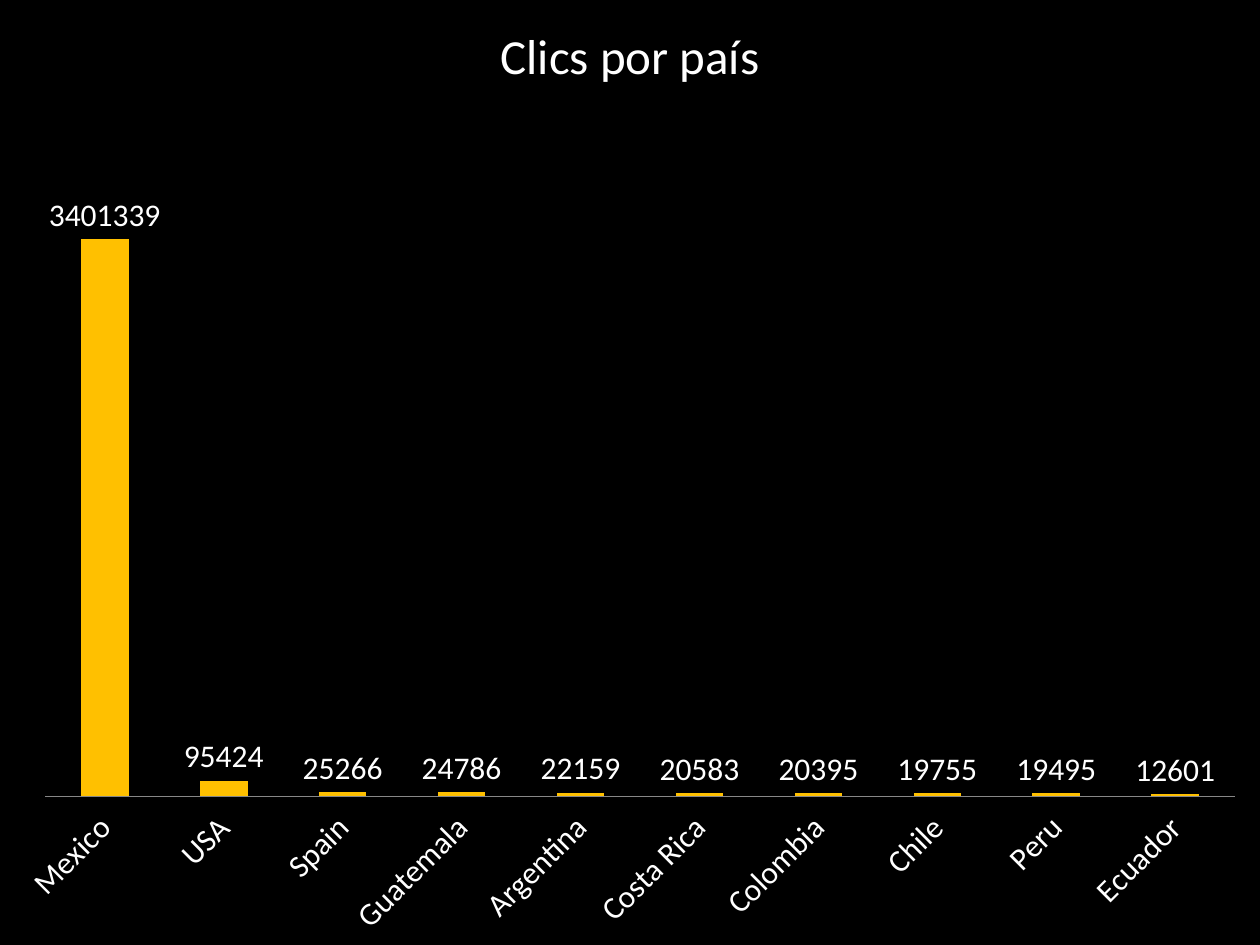
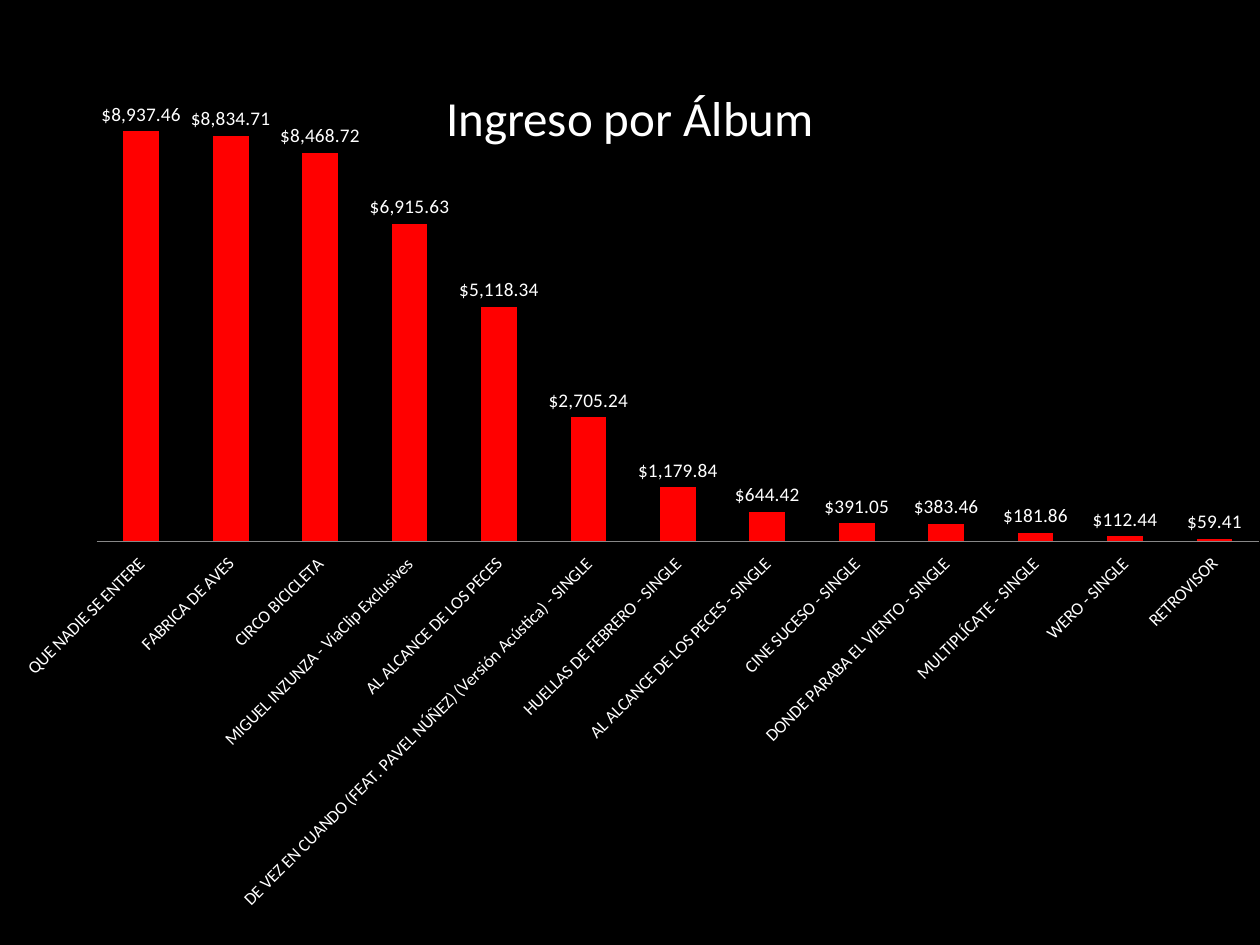
from dataclasses import dataclass

from lxml import etree
from pptx import Presentation
from pptx.chart.data import CategoryChartData
from pptx.dml.color import RGBColor
from pptx.enum.chart import XL_CHART_TYPE, XL_LABEL_POSITION, XL_TICK_LABEL_POSITION, XL_TICK_MARK
from pptx.enum.text import MSO_ANCHOR, PP_ALIGN
from pptx.oxml import parse_xml
from pptx.oxml.ns import nsdecls, qn
from pptx.util import Cm, Pt

COLUMN_CLUSTERED = XL_CHART_TYPE.COLUMN_CLUSTERED
OUTSIDE_END = XL_LABEL_POSITION.OUTSIDE_END
LABELS_LOW = XL_TICK_LABEL_POSITION.LOW
NO_TICKS = XL_TICK_MARK.NONE
MIDDLE = MSO_ANCHOR.MIDDLE
CENTER = PP_ALIGN.CENTER


@dataclass(frozen=True)
class Theme:
    font: str = "Calibri"
    background: RGBColor = RGBColor(0, 0, 0)
    text: RGBColor = RGBColor(255, 255, 255)
    axis: RGBColor = RGBColor(0x87, 0x87, 0x87)
    clicks: RGBColor = RGBColor(0xFF, 0xC0, 0x00)
    income: RGBColor = RGBColor(0xFF, 0x00, 0x00)
    title_size: int = 28
    large_size: int = 18
    label_size: int = 11
    small_size: int = 10


class Deck:
    def __init__(self, theme):
        self.theme = theme
        self.presentation = Presentation()
        self.presentation.slide_width = Cm(25.4)
        self.presentation.slide_height = Cm(19.05)
        self.slide = None

    def add_slide(self):
        self.slide = self.presentation.slides.add_slide(self.presentation.slide_layouts[6])
        fill = self.slide.background.fill
        fill.solid()
        fill.fore_color.rgb = self.theme.background

    def style_font(self, font, size):
        font.name = self.theme.font
        font.size = Pt(size)
        font.color.rgb = self.theme.text

    def add_title(self, text, top):
        shape = self.slide.shapes.add_textbox(Cm(1.27), Cm(top), Cm(22.86), Cm(3.18))
        frame = shape.text_frame
        frame.word_wrap = True
        frame.vertical_anchor = MIDDLE
        frame.text = text
        paragraph = frame.paragraphs[0]
        paragraph.alignment = CENTER
        self.style_font(paragraph.runs[0].font, self.theme.title_size)

    def add_column_chart(self, box, values, color, axis_maximum, plot_percent,
                         category_size, label_size, number_format="General"):
        data = CategoryChartData(number_format=number_format)
        data.categories = list(values)
        data.add_series("Series 1", list(values.values()))
        frame = self.slide.shapes.add_chart(COLUMN_CLUSTERED, *map(Cm, box), data)
        chart = frame.chart
        chart.has_title = False
        chart.has_legend = False
        self.style_font(chart.font, self.theme.small_size)

        plot = chart.plots[0]
        plot.gap_width = 150
        plot.overlap = -25
        plot.vary_by_categories = False
        fill = plot.series[0].format.fill
        fill.solid()
        fill.fore_color.rgb = color

        plot.has_data_labels = True
        labels = plot.data_labels
        labels.show_value = True
        labels.position = OUTSIDE_END
        labels.number_format = number_format
        labels.number_format_is_linked = False
        self.style_font(labels.font, label_size)

        value_axis = chart.value_axis
        value_axis.visible = False
        value_axis.has_major_gridlines = False
        value_axis.minimum_scale = 0
        value_axis.maximum_scale = axis_maximum

        category_axis = chart.category_axis
        category_axis.major_tick_mark = NO_TICKS
        category_axis.minor_tick_mark = NO_TICKS
        category_axis.tick_label_position = LABELS_LOW
        category_axis.format.line.color.rgb = self.theme.axis
        category_axis.format.line.width = Pt(0.75)
        self.style_font(category_axis.tick_labels.font, category_size)
        self.finish_chart(chart, plot_percent)

    def finish_chart(self, chart, plot_percent):
        chart_space = chart.element
        chart_space.find(qn("c:chart")).addnext(parse_xml(
            f'<c:spPr {nsdecls("c", "a")}><a:noFill/><a:ln><a:noFill/></a:ln></c:spPr>'))
        label_body = chart.category_axis.tick_labels.font
        label_body = chart_space.find(f'.//{qn("c:catAx")}/{qn("c:txPr")}/{qn("a:bodyPr")}')
        label_body.set("rot", "-2700000")
        label_body.set("vert", "horz")

        plot_area = chart_space.find(f'.//{qn("c:plotArea")}')
        layout = plot_area.find(qn("c:layout"))
        if layout is None:
            layout = etree.Element(qn("c:layout"))
            plot_area.insert(0, layout)
        manual = etree.SubElement(layout, qn("c:manualLayout"))
        settings = [("layoutTarget", "inner"), ("xMode", "edge"), ("yMode", "edge")]
        settings += [(name, str(percent / 100)) for name, percent in zip("xywh", plot_percent)]
        for name, value in settings:
            etree.SubElement(manual, qn(f"c:{name}")).set("val", value)


CLICKS_BY_COUNTRY = {
    "Mexico": 3401339,
    "USA": 95424,
    "Spain": 25266,
    "Guatemala": 24786,
    "Argentina": 22159,
    "Costa Rica": 20583,
    "Colombia": 20395,
    "Chile": 19755,
    "Peru": 19495,
    "Ecuador": 12601,
}

INCOME_BY_ALBUM = {
    "QUE NADIE SE ENTERE": 8937.46,
    "FABRICA DE AVES": 8834.71,
    "CIRCO BICICLETA": 8468.72,
    "MIGUEL INZUNZA - ViaClip Exclusives": 6915.63,
    "AL ALCANCE DE LOS PECES": 5118.34,
    "DE VEZ EN CUANDO (FEAT. PAVEL NÚÑEZ) (Versión Acústica) - SINGLE": 2705.24,
    "HUELLAS DE FEBRERO - SINGLE": 1179.84,
    "AL ALCANCE DE LOS PECES - SINGLE": 644.42,
    "CINE SUCESO - SINGLE": 391.05,
    "DONDE PARABA EL VIENTO - SINGLE": 383.46,
    "MULTIPLÍCATE - SINGLE": 181.86,
    "WERO - SINGLE": 112.44,
    "RETROVISOR": 59.41,
}


def main():
    theme = Theme()
    deck = Deck(theme)

    deck.add_slide()
    deck.add_title("Clics por país", top=-0.48)
    deck.add_column_chart(
        (0, 2.51, 25.4, 16.54), CLICKS_BY_COUNTRY, theme.clicks,
        axis_maximum=4000000, plot_percent=(3.6, 2, 94.4, 79.9),
        category_size=theme.large_size, label_size=theme.large_size)

    deck.add_slide()
    deck.add_title("Ingreso por Álbum", top=0.76)
    deck.add_column_chart(
        (-0.05, 1.32, 25.93, 17.2), INCOME_BY_ALBUM, theme.income,
        axis_maximum=10000, plot_percent=(7.7, 2, 90.4, 53.8),
        category_size=theme.small_size, label_size=theme.label_size,
        number_format='"$"#,##0.00')

    deck.presentation.save("out.pptx")


if __name__ == "__main__":
    main()
